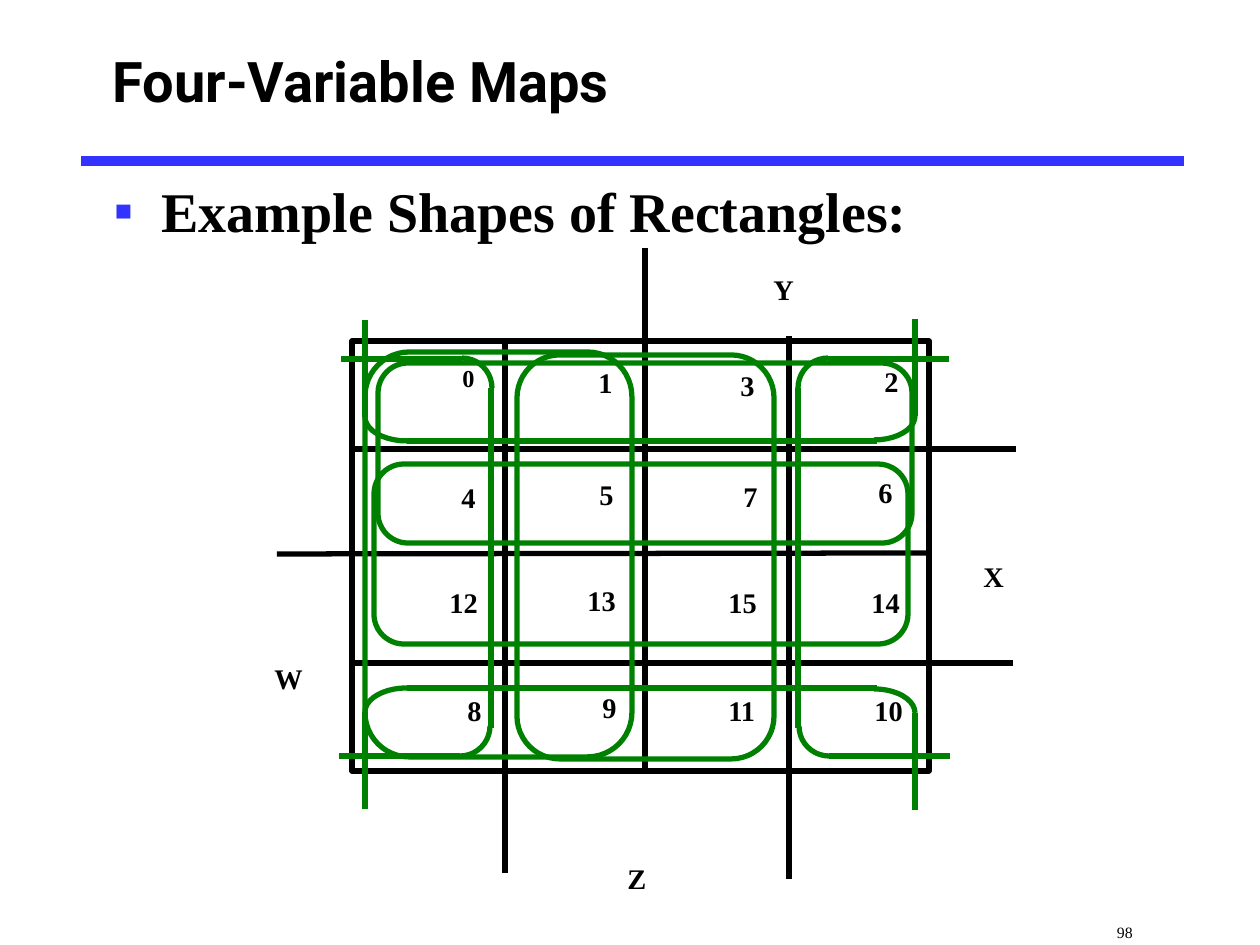
"""Build the slide on rectangle shapes in a four-variable Karnaugh map."""
from math import cos, radians, sin

from lxml.etree import SubElement
from pptx import Presentation
from pptx.dml.color import RGBColor
from pptx.enum.shapes import MSO_CONNECTOR, MSO_SHAPE
from pptx.enum.text import MSO_ANCHOR, PP_ALIGN
from pptx.oxml.ns import qn
from pptx.util import Pt

BLACK = RGBColor(0x00, 0x00, 0x00)
BLUE = RGBColor(0x33, 0x33, 0xFF)
GREEN = RGBColor(0x00, 0x80, 0x00)
PX = 914400 / 126
SERIF = "Times New Roman"


def px(*lengths):
    return [round(length * PX) for length in lengths]


def add_line(x1, y1, x2, y2, color, weight=3):
    line = slide.shapes.add_connector(MSO_CONNECTOR.STRAIGHT, *px(x1, y1, x2, y2))
    line.line.color.rgb = color
    line.line.width = Pt(weight)
    SubElement(line._element.spPr, qn("a:effectLst"))


prs = Presentation()
prs.slide_width, prs.slide_height = px(1260, 945)
slide = prs.slides.add_slide(prs.slide_layouts[1])
shapes = slide.shapes

add_line(81, 161, 1184, 161, BLUE, 6)

title, body = slide.placeholders
headings = [
    (title, (100, 10, 1071, 141), "Four-Variable Maps", "Roboto"),
    (body, (101, 170, 1071, 651), "Example Shapes of Rectangles:", SERIF),
]
for holder, box, wording, font_name in headings:
    holder.left, holder.top, holder.width, holder.height = px(*box)
    paragraph = holder.text_frame.paragraphs[0]
    paragraph.alignment = PP_ALIGN.LEFT
    paragraph.space_before = Pt(0)
    run = paragraph.add_run()
    run.text = wording
    run.font.name = font_name
    run.font.size = Pt(32)
    run.font.bold = True
    run.font.color.rgb = BLACK
title.text_frame.vertical_anchor = MSO_ANCHOR.MIDDLE
body.text_frame.vertical_anchor = MSO_ANCHOR.TOP

bullet = body.text_frame.paragraphs[0]._p.get_or_add_pPr()
indent = px(48)[0]
bullet.set("marL", str(indent))
bullet.set("indent", str(-indent))
bullet_color = SubElement(bullet, qn("a:buClr"))
SubElement(bullet_color, qn("a:srgbClr"), val=str(BLUE))
SubElement(bullet, qn("a:buChar"), char="▪")

grid_lines = [
    (645, 248, 645, 771),
    (505, 340, 505, 873),
    (789, 336, 789, 879),
    (277, 554, 931, 553),
    (349, 449, 1016, 449),
    (352, 663, 1013, 663),
]
for ends in grid_lines:
    add_line(*ends, BLACK)

labels = [
    ("X", 971, 520), ("Y", 761, 233), ("Z", 615, 822), ("W", 262, 622),
    ("0", 450, 329), ("1", 586, 326), ("3", 728, 329), ("2", 872, 325),
    ("4", 449, 441), ("5", 587, 438), ("7", 731, 440), ("6", 866, 436),
    ("12", 437, 546), ("13", 575, 544), ("15", 716, 546), ("14", 859, 546),
    ("8", 455, 654), ("9", 590, 651), ("11", 716, 654), ("10", 862, 654),
]
for label, left, top in labels:
    width = 92 if len(label) == 2 else 74 if label == "W" else 60
    frame = shapes.add_textbox(*px(left, top, width, 72)).text_frame
    frame.word_wrap = True
    run = frame.paragraphs[0].add_run()
    run.text = label
    run.font.name = SERIF
    run.font.size = Pt(24 if label == "0" else 28)
    run.font.bold = True
    run.font.color.rgb = BLACK
    run._r.get_or_add_rPr().set("baseline", "-25000")

outlines = [
    (MSO_SHAPE.RECTANGLE, (352, 341, 577, 430), BLACK),
    (MSO_SHAPE.ROUNDED_RECTANGLE, (517, 355, 257, 404), GREEN),
    (MSO_SHAPE.ROUNDED_RECTANGLE, (365, 352, 267, 405), GREEN),
    (MSO_SHAPE.ROUNDED_RECTANGLE, (374, 464, 534, 180), GREEN),
    (MSO_SHAPE.ROUNDED_RECTANGLE, (378, 363, 534, 180), GREEN),
]
for kind, box, color in outlines:
    outline = shapes.add_shape(kind, *px(*box))
    outline.shadow.inherit = False
    outline.fill.background()
    outline.line.color.rgb = color
    outline.line.width = Pt(3)

wrap_lines = [
    (491, 728, 491, 388), (462, 359, 341, 359), (460, 756, 339, 756),
    (798, 728, 798, 388), (828, 359, 949, 359), (829, 756, 950, 756),
    (877, 688, 407, 688), (365, 712, 365, 809), (915, 713, 915, 810),
    (877, 441, 407, 441), (365, 417, 365, 320), (915, 416, 915, 319),
]
for ends in wrap_lines:
    add_line(*ends, GREEN)

wrap_corners = [
    (460, 726, 30, 30, 0), (462, 388, 30, 30, 270),
    (829, 726, 30, 30, 90), (828, 388, 30, 30, 180),
    (874, 713, 41, 24, 270), (407, 712, 42, 24, 180),
    (874, 416, 41, 24, 0), (407, 417, 42, 24, 90),
]
for center_x, center_y, radius_x, radius_y, start in wrap_corners:
    angles = [radians(start + 9 * step) for step in range(11)]
    points = [
        (center_x + radius_x * cos(angle), center_y + radius_y * sin(angle))
        for angle in angles
    ]
    builder = shapes.build_freeform(*px(*points[0]), scale=1.0)
    builder.add_line_segments([px(*point) for point in points[1:]], close=False)
    corner = builder.convert_to_shape()
    corner.shadow.inherit = False
    corner.fill.background()
    corner.line.color.rgb = GREEN
    corner.line.width = Pt(3)

page_number = shapes.add_textbox(*px(995, 897, 265, 48)).text_frame
page_number.word_wrap = True
page_number.vertical_anchor = MSO_ANCHOR.BOTTOM
page_number.margin_left, page_number.margin_bottom = px(122, 3)
run = page_number.paragraphs[0].add_run()
run.text = "98"
run.font.name = SERIF
run.font.size = Pt(9)
run.font.color.rgb = BLACK

prs.save("out.pptx")
